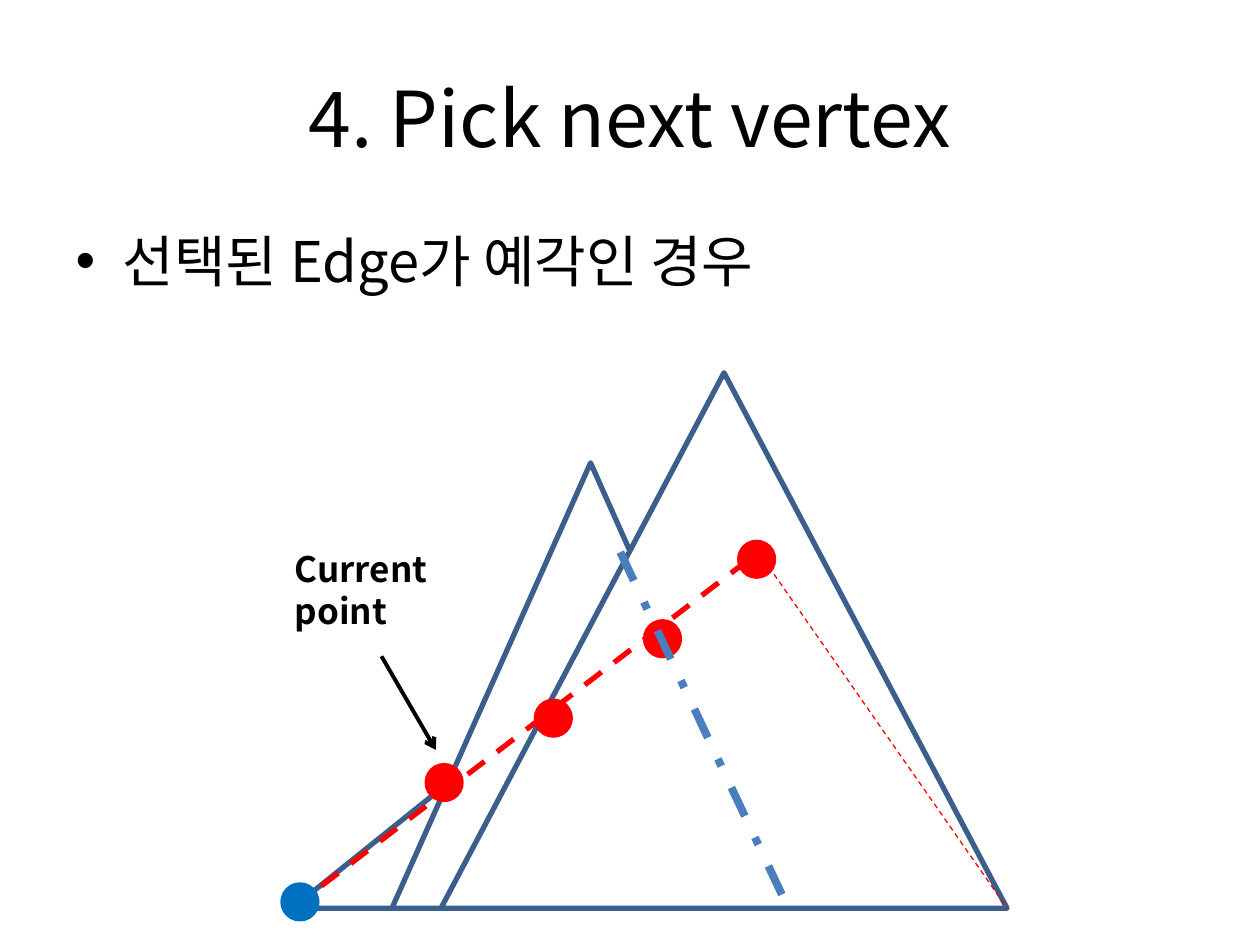
from dataclasses import dataclass

from lxml import etree
from pptx import Presentation
from pptx.dml.color import RGBColor
from pptx.enum import dml, shapes, text
from pptx.oxml.ns import qn
from pptx.util import Pt

FONT = "Noto Sans CJK KR"
COLORS = {
    "black": "000000",
    "white": "FFFFFF",
    "outline": "3A5F8C",
    "hidden_edge": "4B7EBC",
    "candidate": "FF0000",
    "start": "0070C0",
}
DOT_SIZE = 20.4
BASELINE = 519


@dataclass(frozen=True)
class Triangle:
    left: float
    top: float
    width: float


@dataclass(frozen=True)
class Dot:
    x: float
    y: float
    color: str = "candidate"


@dataclass(frozen=True)
class Segment:
    start: tuple[float, float]
    end: tuple[float, float]
    color: str
    weight: float
    dash: dml.MSO_LINE | None = None
    arrow: bool = False


TRIANGLES = [
    Triangle(167, 391.5, 317.5),
    Triangle(224, 264.5, 227),
    Triangle(252, 213, 323.5),
]
SWEEP = Segment((167, BASELINE), (433.5, 315.5), "candidate", 3, dml.MSO_LINE.DASH)
CROSSINGS = [Dot(253.8, 447.2), Dot(316.2, 410.4), Dot(378.6, 365)]
OVERLAYS = [
    Segment((354.5, 315.5), (450.5, BASELINE), "hidden_edge", 4.5, dml.MSO_LINE.DASH_DOT),
    Segment((433.5, 315.5), (575.5, BASELINE), "candidate", 0.75, dml.MSO_LINE.DASH),
    Segment((218, 375), (249, 428.5), "black", 2.25, arrow=True),
]
ENDPOINTS = [Dot(171.4, 515.4, "start"), Dot(432.4, 319.6)]


def rgb(name: str) -> RGBColor:
    return RGBColor.from_string(COLORS[name])


def write(box, words: str, size: float, bold: bool = False):
    """Put one styled paragraph in the box and return it."""
    para = box.text_frame.paragraphs[0]
    para.text = words
    para.font.name = FONT
    para.font.size = Pt(size)
    para.font.bold = bold
    para.font.color.rgb = rgb("black")
    # The East Asian typeface must be named separately for Hangul.
    latin = para.font._element.find(qn("a:latin"))
    east_asian = etree.Element(qn("a:ea"), typeface=FONT)
    latin.addnext(east_asian)
    return para


def place(box, left: float, top: float, width: float, height: float) -> None:
    box.left, box.top = Pt(left), Pt(top)
    box.width, box.height = Pt(width), Pt(height)


def draw_shape(page, kind, left: float, top: float, width: float, height: float,
               fill: str, outline: str, weight: float) -> None:
    shape = page.shapes.add_shape(kind, Pt(left), Pt(top), Pt(width), Pt(height))
    shape.shadow.inherit = False
    shape.fill.solid()
    shape.fill.fore_color.rgb = rgb(fill)
    shape.line.color.rgb = rgb(outline)
    shape.line.width = Pt(weight)


def draw_triangle(page, item: Triangle) -> None:
    draw_shape(page, shapes.MSO_SHAPE.ISOSCELES_TRIANGLE, item.left, item.top,
               item.width, BASELINE - item.top, "white", "outline", 3)


def draw_dot(page, item: Dot) -> None:
    """Draw a dot centred on its coordinates."""
    draw_shape(page, shapes.MSO_SHAPE.OVAL, item.x - DOT_SIZE / 2, item.y - DOT_SIZE / 2,
               DOT_SIZE, DOT_SIZE, item.color, item.color, 2)


def draw_segment(page, item: Segment) -> None:
    ends = [Pt(value) for value in (*item.start, *item.end)]
    connector = page.shapes.add_connector(shapes.MSO_CONNECTOR.STRAIGHT, *ends)
    connector.line.color.rgb = rgb(item.color)
    connector.line.width = Pt(item.weight)
    if item.dash is not None:
        connector.line.dash_style = item.dash
    properties = connector._element.spPr
    if item.arrow:
        etree.SubElement(properties.find(qn("a:ln")), qn("a:tailEnd"), type="arrow")
    etree.SubElement(properties, qn("a:effectLst"))


def main() -> None:
    deck = Presentation()
    deck.slide_width, deck.slide_height = Pt(720), Pt(540)
    page = deck.slides.add_slide(deck.slide_layouts[1])

    title, body = page.placeholders
    place(title, 36, 21.6, 648, 90)
    title.text_frame.vertical_anchor = text.MSO_ANCHOR.MIDDLE
    write(title, "4. Pick next vertex", 44).alignment = text.PP_ALIGN.CENTER
    place(body, 36, 126, 648, 356.4)
    write(body, "선택된 Edge가 예각인 경우", 32)

    for triangle in TRIANGLES:
        draw_triangle(page, triangle)
    draw_segment(page, SWEEP)
    for dot in CROSSINGS:
        draw_dot(page, dot)
    for segment in OVERLAYS:
        draw_segment(page, segment)
    for dot in ENDPOINTS:
        draw_dot(page, dot)

    label = page.shapes.add_textbox(Pt(161.3), Pt(309.6), Pt(118.8), Pt(55.4))
    label.text_frame.word_wrap = True
    label.text_frame.auto_size = text.MSO_AUTO_SIZE.SHAPE_TO_FIT_TEXT
    write(label, "Current point", 20, bold=True)

    deck.save("out.pptx")


if __name__ == "__main__":
    main()
